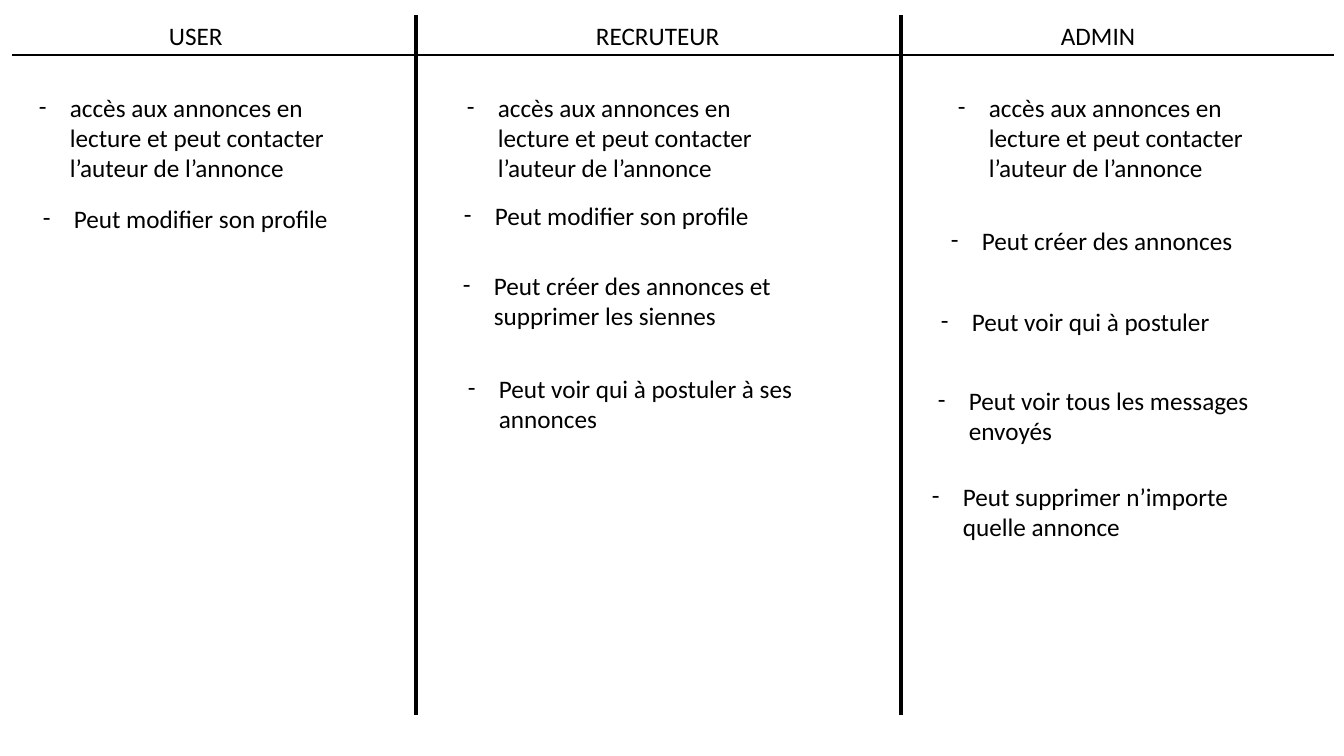
import pptx
import pptx.util
import pptx.dml.color
import pptx.enum.shapes
import pptx.enum.text
import pptx.oxml.ns
import lxml.etree

PIXEL = 914400 / 100.8
BLACK = "000000"
TOP, BOTTOM, HEADER_RULE = 15, 715, 55
HEADING_HEIGHT = 40
RIGHT_WIDTH, LINE_HEIGHT, INSETS, INDENT = 352, 31, 9, 31


def px(length):
    return pptx.util.Emu(round(length * PIXEL))


def color(value):
    return pptx.dml.color.RGBColor.from_string(value)


def add_rule(slide, x1, y1, x2, y2, weight):
    rule = slide.shapes.add_connector(
        pptx.enum.shapes.MSO_CONNECTOR.STRAIGHT, px(x1), px(y1), px(x2), px(y2))
    rule.line.color.rgb = color(BLACK)
    rule.line.width = pptx.util.Pt(weight)
    lxml.etree.SubElement(rule._element.spPr, pptx.oxml.ns.qn("a:effectLst"))


def add_text(slide, left, top, width, height, text, wrap):
    box = slide.shapes.add_textbox(px(left), px(top), px(width), px(height))
    frame = box.text_frame
    frame.word_wrap = wrap
    frame.auto_size = pptx.enum.text.MSO_AUTO_SIZE.SHAPE_TO_FIT_TEXT
    frame.text = text
    paragraph = frame.paragraphs[0]
    paragraph.font.name = "Calibri"
    paragraph.font.size = pptx.util.Pt(18)
    paragraph.font.color.rgb = color(BLACK)
    return paragraph


def add_right(slide, left, top, lines, text):
    paragraph = add_text(slide, left, top, RIGHT_WIDTH, INSETS + LINE_HEIGHT * lines, text, True)
    properties = paragraph._p.get_or_add_pPr()
    properties.set("marL", str(px(INDENT)))
    properties.set("indent", str(-px(INDENT)))
    font = lxml.etree.Element(pptx.oxml.ns.qn("a:buFont"), typeface="Calibri")
    dash = lxml.etree.Element(pptx.oxml.ns.qn("a:buChar"), char="-")
    properties.insert(0, font)
    properties.insert(1, dash)


def add_role(slide, left, top, heading, heading_x, heading_width, rights):
    add_text(slide, left + heading_x, top, heading_width, HEADING_HEIGHT, heading, False)
    for x, y, lines, text in rights:
        add_right(slide, left + x, top + y, lines, text)


def add_grid(slide, left, right, dividers):
    for x in dividers:
        add_rule(slide, x, TOP, x, BOTTOM, 2.25)
    add_rule(slide, left, HEADER_RULE, right, HEADER_RULE, 1.5)


READ = "accès aux annonces en lecture et peut contacter l’auteur de l’annonce"
EDIT_PROFILE = "Peut modifier son profile"
ROLES = [
    (12, "USER", 147, 75, [
        (17, 72, 3, READ),
        (21, 183, 1, EDIT_PROFILE),
    ]),
    (416, "RECRUTEUR", 170, 144, [
        (41, 72, 3, READ),
        (38, 180, 1, EDIT_PROFILE),
        (37, 250, 2, "Peut créer des annonces et supprimer les siennes"),
        (42, 353, 2, "Peut voir qui à postuler à ses annonces"),
    ]),
    (901, "ADMIN", 150, 96, [
        (47, 72, 3, READ),
        (40, 205, 1, "Peut créer des annonces"),
        (30, 286, 1, "Peut voir qui à postuler"),
        (27, 365, 2, "Peut voir tous les messages envoyés"),
        (21, 461, 2, "Peut supprimer n’importe quelle annonce"),
    ]),
]

presentation = pptx.Presentation()
presentation.slide_width = px(1344)
presentation.slide_height = px(756)
roles_slide = presentation.slides.add_slide(presentation.slide_layouts[6])
add_grid(roles_slide, 12, 1334, [role[0] for role in ROLES[1:]])
for role_left, heading, heading_x, heading_width, rights in ROLES:
    add_role(roles_slide, role_left, TOP, heading, heading_x, heading_width, rights)
presentation.save("out.pptx")
